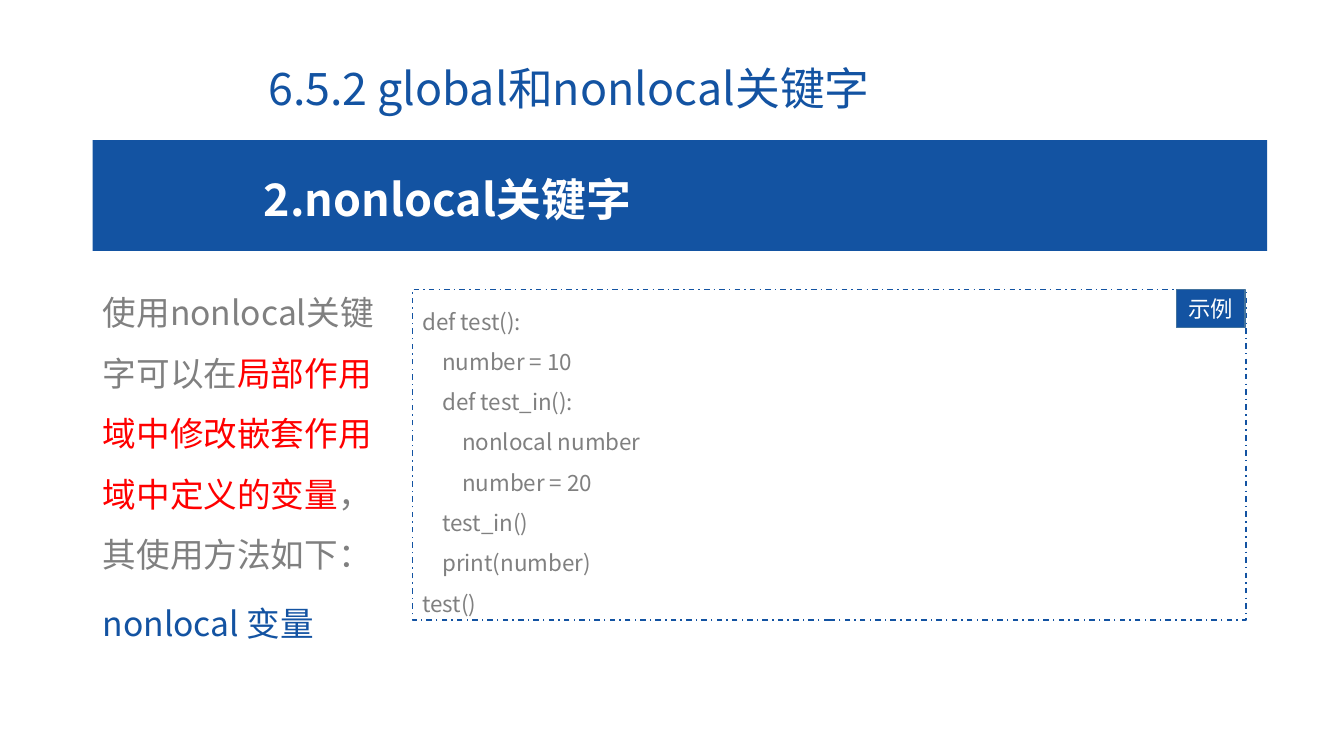
"""Build the slide on the nonlocal keyword, laid out in percent of the slide's size."""
from lxml.etree import SubElement
from pptx import Presentation
from pptx.dml.color import RGBColor
from pptx.enum.dml import MSO_LINE_DASH_STYLE as Dash
from pptx.enum.shapes import MSO_SHAPE as Shape
from pptx.enum.text import MSO_ANCHOR as Anchor, MSO_AUTO_SIZE as AutoSize, PP_ALIGN as Align
from pptx.oxml.ns import qn
from pptx.util import Inches, Pt

FONT = "Noto Sans CJK SC"
BLUE, RIM, GRAY, RED, WHITE = "1353A2", "43739E", "808080", "FF0000", "FFFFFF"
color = RGBColor.from_string

deck = Presentation()
deck.slide_width, deck.slide_height = Inches(13.33), Inches(7.5)
slide = deck.slides.add_slide(deck.slide_layouts[1])


def place(shape, left, top, width, height):
    """Set a shape's box from percentages of the slide and return it."""
    shape.left, shape.width = (int(deck.slide_width * share / 100) for share in (left, width))
    shape.top, shape.height = (int(deck.slide_height * share / 100) for share in (top, height))
    return shape


def write(shape, text, size=16, ink=GRAY, bold=False, align=Align.LEFT,
          anchor=Anchor.TOP, spacing=1.5, indent=0, accent=None):
    """Fill a shape with lines of text; parts between bars take the accent colour."""
    frame = shape.text_frame
    frame.word_wrap, frame.auto_size, frame.vertical_anchor = True, AutoSize.NONE, anchor
    for number, line in enumerate(text.split("\n")):
        paragraph = frame.add_paragraph() if number else frame.paragraphs[0]
        properties = paragraph._p.get_or_add_pPr()
        properties.set("marL", "0")
        properties.set("indent", str(Inches(indent)))
        SubElement(properties, qn("a:buNone"))
        paragraph.alignment, paragraph.line_spacing = align, spacing
        paragraph.space_before = Pt(0)
        for part, words in enumerate(line.split("|")):
            run = paragraph.add_run()
            run.text = words
            run.font.name, run.font.size, run.font.bold = FONT, Pt(size), bold
            run.font.color.rgb = color(accent if part % 2 else ink)
            SubElement(run.font._element, qn("a:ea"), typeface=FONT)


panels = []
for shares, fill, edge, dash in [
    ((6.9, 18.53, 87.38, 14.67), BLUE, None, None),
    ((15.15, 18.53, 73.95, 12.13), BLUE, None, None),
    ((30.68, 38.27, 62.03, 43.73), None, BLUE, Dash.DASH_DOT),
    ((87.53, 38.27, 5.1, 5.07), BLUE, RIM, None),
]:
    panel = place(slide.shapes.add_shape(Shape.RECTANGLE, 0, 0, 0, 0), *shares)
    panel.shadow.inherit = False
    if fill:
        panel.fill.solid()
        panel.fill.fore_color.rgb = color(fill)
    else:
        panel.fill.background()
    if edge:
        panel.line.color.rgb = color(edge)
        panel.line.width = Pt(1)
        panel.line.dash_style = dash
    else:
        panel.line.fill.background()
    panels.append(panel)

band, heading, example, tag = panels
write(heading, "2.nonlocal关键字", size=32, ink=WHITE, bold=True, indent=0.5)
write(example, """def test():
    number = 10
    def test_in():
        nonlocal number
        number = 20
    test_in()
    print(number)
test()""")
write(tag, "示例", ink=WHITE, align=Align.CENTER, anchor=Anchor.MIDDLE, spacing=1.0)

title = place(slide.shapes.title, 19.2, 8.13, 57.45, 7.87)
write(title, "6.5.2 global和nonlocal关键字", size=32, ink=BLUE, anchor=Anchor.MIDDLE, spacing=0.9)

explanation = place(slide.placeholders[1], 6.9, 35.33, 23.78, 41.73)
write(explanation, "使用nonlocal关键字可以在|局部作用域中修改嵌套作用域中定义的变量|，其使用方法如下：",
      size=24, accent=RED)

syntax = place(slide.shapes.add_textbox(0, 0, 0, 0), 6.9, 76.4, 19.95, 8.53)
write(syntax, "nonlocal 变量", size=24, ink=BLUE)

deck.save("out.pptx")
